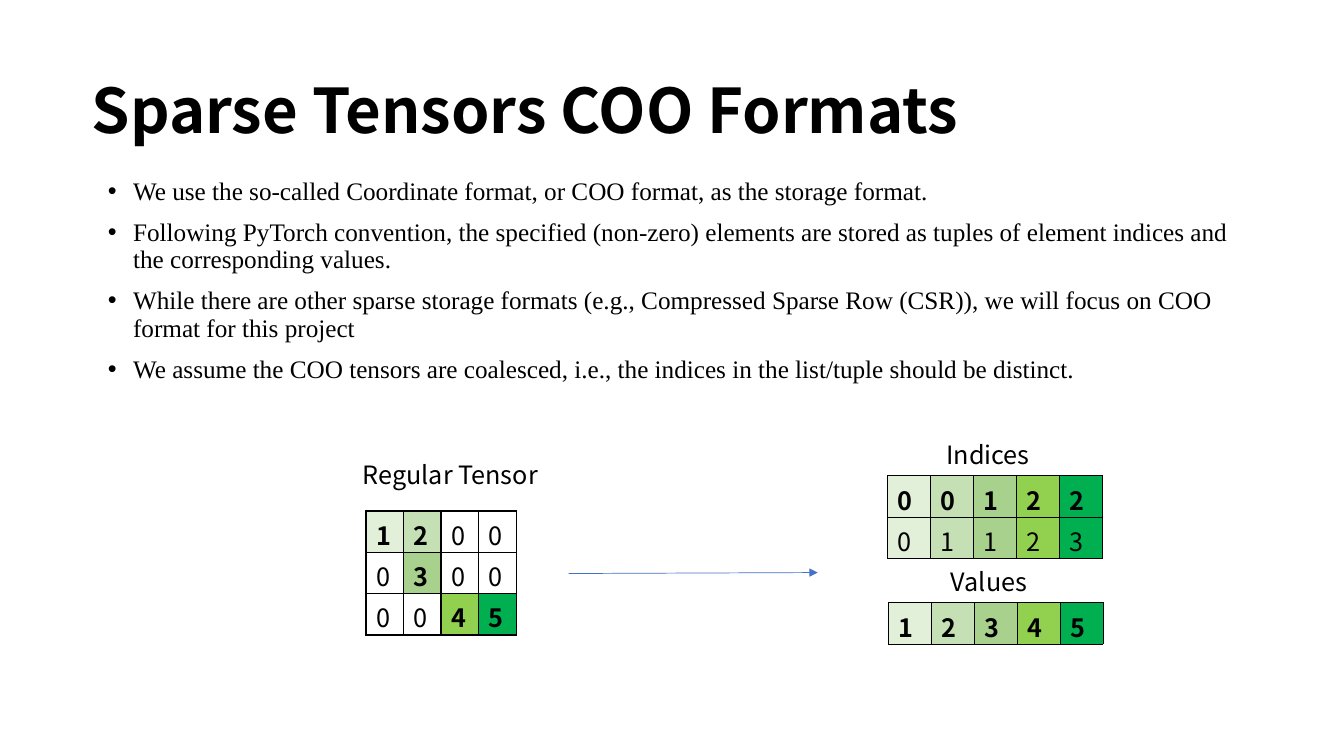
from lxml import etree
from pptx import Presentation
from pptx.dml.color import RGBColor
from pptx.enum.shapes import MSO_CONNECTOR
from pptx.enum.text import MSO_ANCHOR, MSO_AUTO_SIZE, PP_ALIGN
from pptx.oxml.ns import qn
from pptx.util import Inches, Pt

LEFT, CENTER = PP_ALIGN.LEFT, PP_ALIGN.CENTER
TOP, MIDDLE = MSO_ANCHOR.TOP, MSO_ANCHOR.MIDDLE
NO_AUTOFIT, GROW = MSO_AUTO_SIZE.NONE, MSO_AUTO_SIZE.SHAPE_TO_FIT_TEXT
STRAIGHT = MSO_CONNECTOR.STRAIGHT

BLACK = RGBColor(0x00, 0x00, 0x00)
BLUE = RGBColor(0x44, 0x72, 0xC4)
SHADES = [
    RGBColor(0xE2, 0xF0, 0xD9),
    RGBColor(0xC5, 0xE0, 0xB4),
    RGBColor(0xA9, 0xD1, 0x8E),
    RGBColor(0x92, 0xD0, 0x50),
    RGBColor(0x00, 0xB0, 0x50),
]

BULLETS = [
    "We use the so-called Coordinate format, or COO format, as the storage format.",
    "Following PyTorch convention, the specified (non-zero) elements are stored as "
    "tuples of element indices and the corresponding values.",
    "While there are other sparse storage formats (e.g., Compressed Sparse Row (CSR)), "
    "we will focus on COO format for this project",
    "We assume the COO tensors are coalesced, i.e., the indices in the list/tuple "
    "should be distinct.",
]
TENSOR = [[1, 2, 0, 0], [0, 3, 0, 0], [0, 0, 4, 5]]
ENTRIES = [(r, c, v) for r, row in enumerate(TENSOR) for c, v in enumerate(row) if v]
ROW_INDICES, COL_INDICES, VALUES = zip(*ENTRIES)


class Deck:
    sans = "Noto Sans CJK SC"
    serif = "Times New Roman"
    row_height = 0.41

    def __init__(self):
        self.prs = Presentation()
        self.prs.slide_width = Inches(13.33)
        self.prs.slide_height = Inches(7.5)
        self.s = self.prs.slides.add_slide(self.prs.slide_layouts[1])

    def style(self, p, size=18, font=sans, bold=False, align=LEFT):
        p.alignment = align
        for r in p.runs:
            r.font.size = Pt(size)
            r.font.name = font
            r.font.bold = bold
            r.font.color.rgb = BLACK

    def place(self, sp, x, y, w, h, anchor):
        sp.left, sp.top, sp.width, sp.height = map(Inches, (x, y, w, h))
        tf = sp.text_frame
        tf.word_wrap = True
        tf.auto_size = NO_AUTOFIT
        tf.vertical_anchor = anchor
        return tf

    def title(self, text, x, y, w, h):
        tf = self.place(self.s.shapes.title, x, y, w, h, MIDDLE)
        tf.text = text
        p = tf.paragraphs[0]
        p.line_spacing = 0.9
        self.style(p, size=44, bold=True)

    def bullets(self, items, x, y, w, h):
        tf = self.place(self.s.placeholders[1], x, y, w, h, TOP)
        tf.text = "\n".join(items)
        for p in tf.paragraphs:
            self.style(p, font=self.serif)
            p.line_spacing = 0.9
            p.space_before = Pt(10)
            pPr = p._p.get_or_add_pPr()
            pPr.set("marL", str(Inches(0.25)))
            pPr.set("indent", str(Inches(-0.25)))
            etree.SubElement(pPr, qn("a:buFont")).set("typeface", "Arial")
            etree.SubElement(pPr, qn("a:buChar")).set("char", "•")

    def label(self, text, x, y, align=LEFT):
        sp = self.s.shapes.add_textbox(Inches(x), Inches(y), Inches(1.94), Inches(0.4))
        tf = sp.text_frame
        tf.word_wrap = True
        tf.auto_size = GROW
        tf.text = text
        self.style(tf.paragraphs[0], align=align)

    def border(self, cell, width):
        tcPr = cell._tc.get_or_add_tcPr()
        for i, side in enumerate(("a:lnL", "a:lnR", "a:lnT", "a:lnB")):
            ln = etree.Element(qn(side), w=str(Pt(width)))
            fill = etree.SubElement(ln, qn("a:solidFill"))
            etree.SubElement(fill, qn("a:srgbClr")).set("val", str(BLACK))
            tcPr.insert(i, ln)

    def table(self, rows, x, y, w, line, shade, bold, bottom):
        shape = self.s.shapes.add_table(
            len(rows), len(rows[0]), Inches(x), Inches(y),
            Inches(w), Inches(self.row_height * len(rows)))
        tbl = shape.table
        tbl.first_row = tbl.horz_banding = False
        for i, row in enumerate(rows):
            for j, value in enumerate(row):
                cell = tbl.cell(i, j)
                cell.margin_bottom = Inches(bottom)
                cell.text = str(value)
                self.style(cell.text_frame.paragraphs[0], bold=bold(i, value))
                color = shade(j, value)
                if color is None:
                    cell.fill.background()
                else:
                    cell.fill.solid()
                    cell.fill.fore_color.rgb = color
                self.border(cell, line)

    def tensor(self, rows, x, y):
        self.table(rows, x, y, 1.49, 1,
                   shade=lambda j, v: SHADES[v - 1] if v else None,
                   bold=lambda i, v: v != 0, bottom=0.05)

    def entries(self, rows, x, y):
        self.table(rows, x, y, 2.13, 0.5,
                   shade=lambda j, v: SHADES[j],
                   bold=lambda i, v: i == 0, bottom=0)

    def arrow(self, x1, y1, x2, y2):
        cxn = self.s.shapes.add_connector(STRAIGHT, *map(Inches, (x1, y1, x2, y2)))
        cxn.line.color.rgb = BLUE
        cxn.line.width = Pt(0.5)
        etree.SubElement(cxn.line._get_or_add_ln(), qn("a:tailEnd")).set("type", "triangle")
        etree.SubElement(cxn._element.spPr, qn("a:effectLst"))


def main():
    deck = Deck()
    deck.title("Sparse Tensors COO Formats", 0.81, 0.4, 11.96, 1.45)
    deck.bullets(BULLETS, 0.97, 1.72, 11.5, 2.36)
    deck.label("Regular Tensor", 3.5, 4.51)
    deck.tensor(TENSOR, 3.63, 5.07)
    deck.arrow(5.64, 5.69, 8.11, 5.68)
    deck.label("Indices", 8.83, 4.31, CENTER)
    deck.entries([ROW_INDICES, COL_INDICES], 8.8, 4.72)
    deck.label("Values", 8.84, 5.57, CENTER)
    deck.entries([VALUES], 8.81, 5.98)
    deck.prs.save("out.pptx")


if __name__ == "__main__":
    main()
